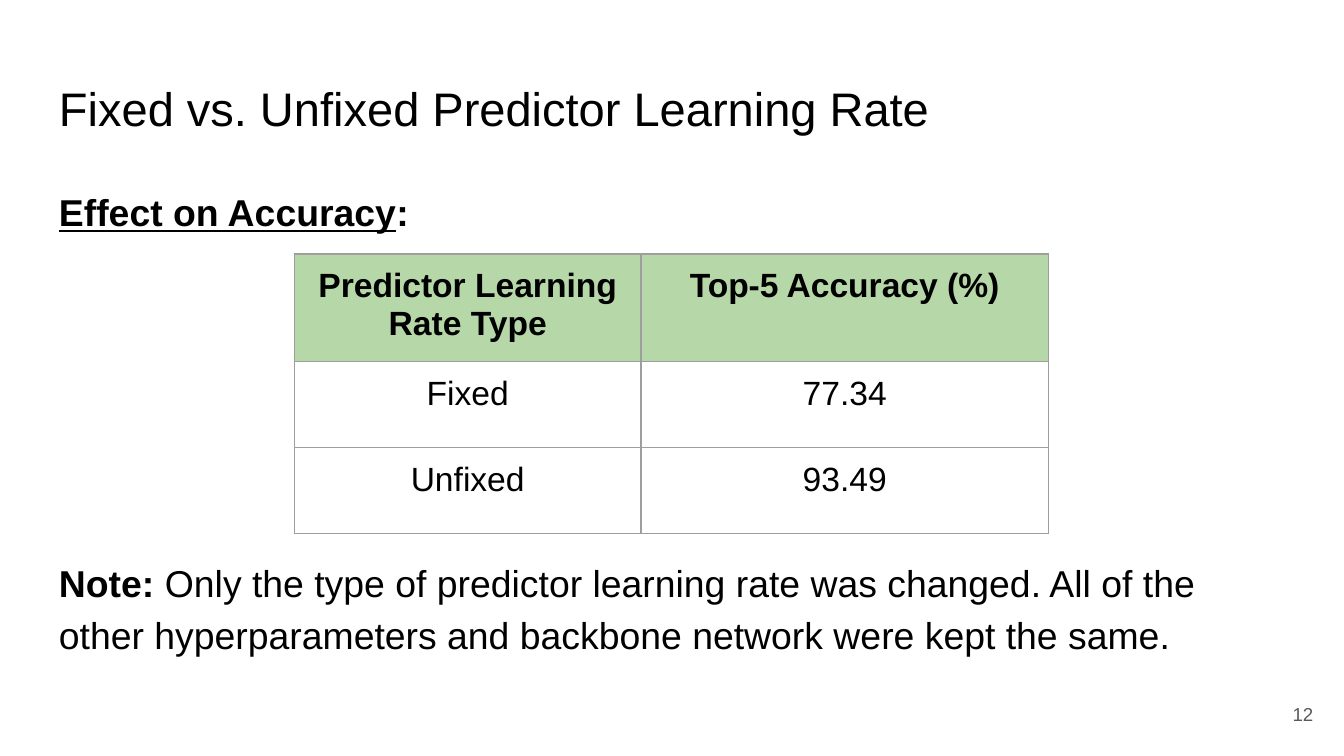
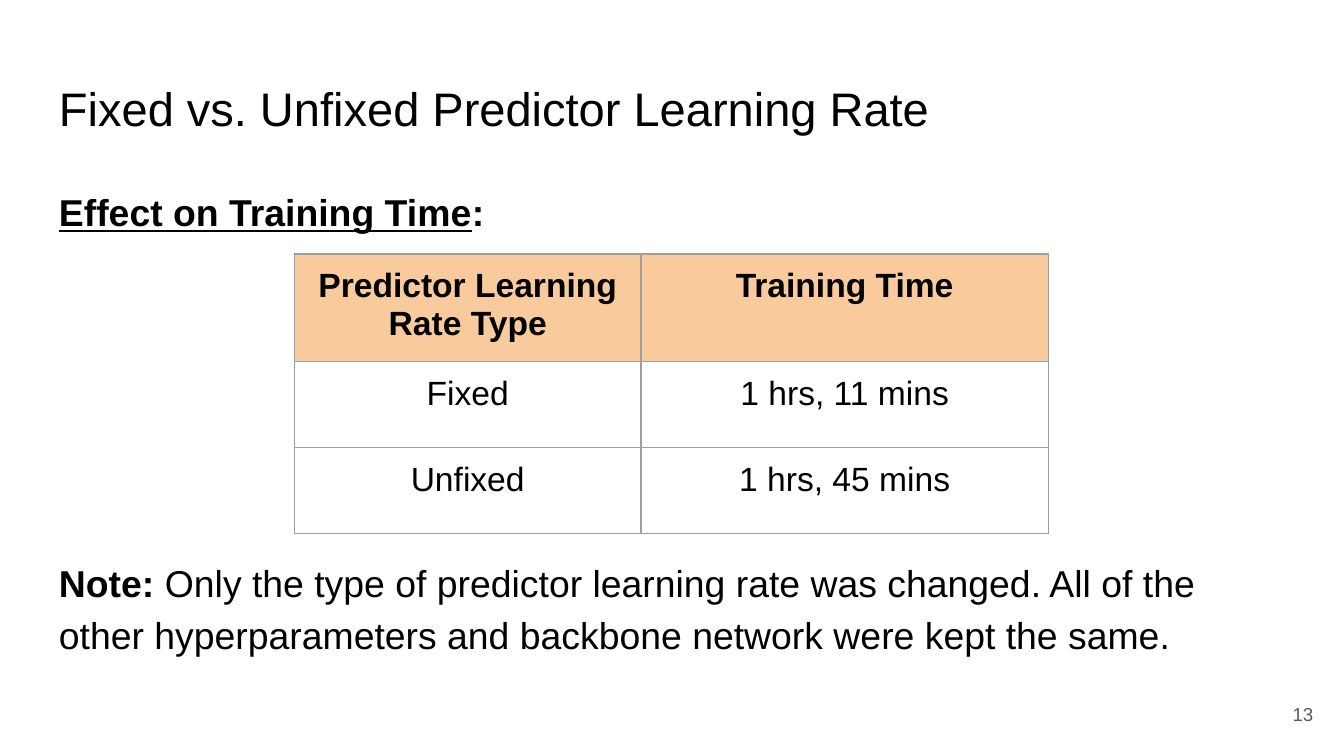
from dataclasses import dataclass

from lxml.etree import SubElement
from pptx import Presentation
from pptx.dml.color import RGBColor
from pptx.enum.text import MSO_ANCHOR, PP_ALIGN
from pptx.oxml.ns import qn
from pptx.slide import Slide
from pptx.table import _Cell
from pptx.text.text import TextFrame, _Paragraph
from pptx.util import Inches, Pt

COLORS = {
    "text": "000000",
    "number": "595959",
    "border": "9E9E9E",
    "green": "B6D7A8",
    "orange": "F9CB9C",
}
FONT = "Arial"
INSET = Inches(0.1)
TITLE = "Fixed vs. Unfixed Predictor Learning Rate"
NOTE = (
    " Only the type of predictor learning rate was changed. "
    "All of the other hyperparameters and backbone network were kept the same."
)
COLUMN_WIDTHS = (2.58, 3.03)
ROW_HEIGHT = 0.64


@dataclass
class Comparison:
    number: int
    effect: str
    measure: str
    fixed: str
    unfixed: str
    header_color: str


COMPARISONS = (
    Comparison(12, "Effect on Accuracy", "Top-5 Accuracy (%)", "77.34", "93.49", "green"),
    Comparison(13, "Effect on Training Time", "Training Time", "1 hrs, 11 mins", "1 hrs, 45 mins", "orange"),
)


def add_box(page: Slide, left: float, top: float, width: float, height: float) -> TextFrame:
    box = page.shapes.add_textbox(Inches(left), Inches(top), Inches(width), Inches(height))
    frame = box.text_frame
    frame.word_wrap = True
    frame.margin_left = frame.margin_right = INSET
    frame.margin_top = frame.margin_bottom = INSET
    return frame


def add_span(para: _Paragraph, text: str, size: float, color: str = "text",
             bold: bool = False, underline: bool = False) -> None:
    span = para.add_run()
    span.text = text
    span.font.name = FONT
    span.font.size = Pt(size)
    span.font.bold = bold
    span.font.underline = underline
    span.font.color.rgb = RGBColor.from_string(COLORS[color])


def add_borders(cell: _Cell) -> None:
    properties = cell._tc.get_or_add_tcPr()
    for position, side in enumerate(("a:lnL", "a:lnR", "a:lnT", "a:lnB")):
        line = SubElement(properties, qn(side), w=str(Pt(0.75)))
        properties.remove(line)
        properties.insert(position, line)
        fill = SubElement(line, qn("a:solidFill"))
        SubElement(fill, qn("a:srgbClr"), val=COLORS["border"])


def fill_cell(cell: _Cell, text: str, header_color: str | None) -> None:
    cell.margin_left = cell.margin_right = INSET
    cell.margin_top = cell.margin_bottom = INSET
    if header_color:
        cell.fill.solid()
        cell.fill.fore_color.rgb = RGBColor.from_string(COLORS[header_color])
    else:
        cell.fill.background()
    add_borders(cell)
    para = cell.text_frame.paragraphs[0]
    para.alignment = PP_ALIGN.CENTER
    para.line_spacing = 1.0
    add_span(para, text, 18, bold=header_color is not None)


def add_results(page: Slide, comparison: Comparison) -> None:
    rows = (
        ("Predictor Learning Rate Type", comparison.measure),
        ("Fixed", comparison.fixed),
        ("Unfixed", comparison.unfixed),
    )
    table = page.shapes.add_table(
        len(rows), len(COLUMN_WIDTHS), Inches(2.19), Inches(1.89),
        Inches(sum(COLUMN_WIDTHS)), Inches(ROW_HEIGHT * len(rows)),
    ).table
    table.horz_banding = False
    for column, width in zip(table.columns, COLUMN_WIDTHS):
        column.width = Inches(width)
    for row_index, texts in enumerate(rows):
        table.rows[row_index].height = Inches(ROW_HEIGHT)
        for column_index, text in enumerate(texts):
            header_color = comparison.header_color if row_index == 0 else None
            fill_cell(table.cell(row_index, column_index), text, header_color)


def add_body(page: Slide, comparison: Comparison) -> None:
    frame = add_box(page, 0.34, 1.26, 9.32, 3.74)
    heading = frame.paragraphs[0]
    add_span(heading, comparison.effect, 20, bold=True, underline=True)
    add_span(heading, ":", 20, bold=True)
    note = frame.add_paragraph()
    note.space_before = Pt(171)
    add_span(note, "Note:", 20, bold=True)
    add_span(note, NOTE, 20)
    for para in (heading, note):
        para.line_spacing = 1.15


def add_page(deck: Presentation, comparison: Comparison) -> None:
    page = deck.slides.add_slide(deck.slide_layouts[6])
    title = add_box(page, 0.34, 0.49, 9.32, 0.63)
    add_span(title.paragraphs[0], TITLE, 25.2)
    add_body(page, comparison)
    number = add_box(page, 9.27, 5.1, 0.6, 0.43)
    number.vertical_anchor = MSO_ANCHOR.MIDDLE
    number.paragraphs[0].alignment = PP_ALIGN.RIGHT
    add_span(number.paragraphs[0], str(comparison.number), 10, "number")
    add_results(page, comparison)


def main() -> None:
    deck = Presentation()
    deck.slide_width = Inches(10)
    deck.slide_height = Inches(10 * 9 / 16)
    for comparison in COMPARISONS:
        add_page(deck, comparison)
    deck.save("out.pptx")


if __name__ == "__main__":
    main()
